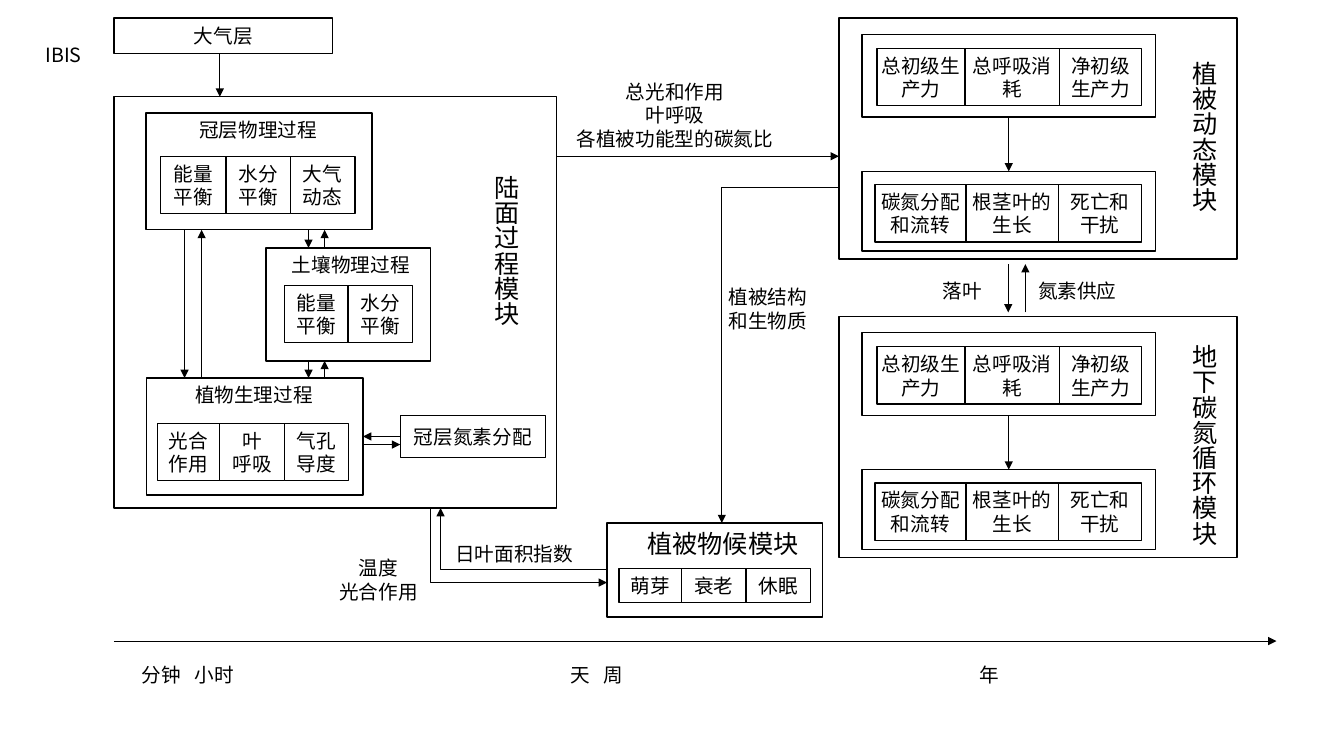
"""Build the IBIS model structure slide: modules, processes and exchanges along a time axis."""
from lxml import etree
from pptx import Presentation
from pptx.dml.color import RGBColor
from pptx.enum import shapes, text
from pptx.oxml.ns import qn
from pptx.util import Pt

PX = 9144
FONT = "Noto Sans CJK SC"
COLORS = {"ink": "000000", "paper": "FFFFFF"}
BODY, HEADING = 14, 18

TITLE = ("IBIS", (35, 32, 79, 47))
FRAMES = {
    "atmosphere": (113, 18, 217, 35, "大气层"),
    "land": (113, 96, 439, 408, ""),
    "canopy": (145, 112, 224, 116, ""),
    "physiology": (145, 375, 215, 116, ""),
    "soil": (264, 246, 163, 112, ""),
    "nitrogen": (397, 412, 144, 42, "冠层氮素分配"),
    "phenology": (602, 519, 214, 93, ""),
}
STRIPS = [
    (159, 155, 57, [(65, "能量平衡"), (64, "水分平衡"), (64, "大气动态")]),
    (156, 420, 57, [(62, "光合作用"), (64, "叶\n呼吸"), (64, "气孔导度")]),
    (282, 283, 57, [(63, "能量平衡"), (64, "水分平衡")]),
    (614, 564, 34, [(62, "萌芽"), (64, "衰老"), (64, "休眠")]),
]
CARBON_TOPS = [18, 314]
CARBON_FRAME = (832, 395, 239)
CARBON_STAGES = [
    (16, 82, 870, 30, [(87, "总初级生产力"), (94, "总呼吸消耗"), (81, "净初级生产力")]),
    (152, 79, 868, 165, [(90, "碳氮分配和流转"), (92, "根茎叶的生长"), (82, "死亡和干扰")]),
]
LABELS = [
    (187, 112, 138, 34, BODY, "冠层物理过程"),
    (183, 375, 138, 34, BODY, "植物生理过程"),
    (279, 246, 138, 34, BODY, "土壤物理过程"),
    (631, 519, 172, 40, HEADING, "植被物候模块"),
    (326, 547, 99, 57, BODY, "温度\n光合作用"),
    (441, 533, 138, 34, BODY, "日叶面积指数"),
    (712, 278, 99, 57, BODY, "植被结构\n和生物质"),
    (561, 74, 217, 81, BODY, "总光和作用\n叶呼吸\n各植被功能型的碳氮比"),
    (925, 272, 59, 34, BODY, "落叶"),
    (1019, 272, 99, 34, BODY, "氮素供应"),
]
MODULE_NAMES = [
    (472, 164, 50, 162, "陆面过程模块"),
    (1164, 51, 50, 162, "植被动态模块"),
    (1164, 332, 50, 212, "地下碳氮循环模块"),
]
ARROWS = [
    (218, 53, 218, 96),
    (183, 228, 183, 375), (200, 375, 200, 228),
    (306, 228, 306, 246), (322, 246, 322, 228),
    (306, 358, 306, 375), (322, 375, 322, 358),
    (360, 441, 397, 441),
    (552, 155, 832, 155),
    (1000, 262, 1000, 310), (1017, 310, 1017, 262),
    (113, 636, 1266, 636),
]
ELBOWS = [
    (427, 504, 602, 578, 0),
    (602, 565, 437, 504, 100000),
    (832, 186, 716, 519, 100000),
]
TIME_AXIS = (131, 653, 1098, 34)
TIME_SCALES = [(0, "分钟"), (52, "小时"), (425, "天"), (458, "周"), (831, "年")]


def rgb(name):
    return RGBColor.from_string(COLORS[name])


def emu(*lengths):
    return [length * PX for length in lengths]


def style(frame, size, align):
    for paragraph in frame.paragraphs:
        paragraph.alignment = align
        font = paragraph.font
        font.name, font.size, font.bold = FONT, Pt(size), False
        font.color.rgb = rgb("ink")
        defaults = paragraph._p.pPr.find(qn("a:defRPr"))
        etree.SubElement(defaults, qn("a:ea"), typeface=FONT)


def add_box(slide, left, top, width, height, words=""):
    box = slide.shapes.add_shape(shapes.MSO_SHAPE.RECTANGLE, *emu(left, top, width, height))
    box.shadow.inherit = False
    box.fill.solid()
    box.fill.fore_color.rgb = rgb("paper")
    box.line.color.rgb = rgb("ink")
    box.line.width = Pt(1)
    if words:
        frame = box.text_frame
        frame.text = words
        frame.vertical_anchor = text.MSO_ANCHOR.MIDDLE
        frame.margin_left = frame.margin_top = frame.margin_right = frame.margin_bottom = 4 * PX
        style(frame, BODY, text.PP_ALIGN.CENTER)
    return box


def add_strip(slide, left, top, height, cells):
    for width, words in cells:
        add_box(slide, left, top, width, height, words)
        left += width


def add_label(slide, left, top, width, height, size, words, align=text.PP_ALIGN.CENTER):
    label = slide.shapes.add_textbox(*emu(left, top, width, height))
    frame = label.text_frame
    frame.text = words
    frame.word_wrap = False
    frame.auto_size = text.MSO_AUTO_SIZE.SHAPE_TO_FIT_TEXT
    style(frame, size, align)
    return frame


def add_arrow(slide, x1, y1, x2, y2, bend=None):
    kind = shapes.MSO_CONNECTOR.STRAIGHT if bend is None else shapes.MSO_CONNECTOR.ELBOW
    arrow = slide.shapes.add_connector(kind, *emu(x1, y1, x2, y2))
    arrow.line.color.rgb = rgb("ink")
    arrow.line.width = Pt(0.5)
    properties = arrow._element.spPr
    etree.SubElement(properties.find(qn("a:ln")), qn("a:tailEnd"), type="triangle")
    etree.SubElement(properties, qn("a:effectLst"))
    if bend is not None:
        guides = properties.find(qn("a:prstGeom")).find(qn("a:avLst"))
        etree.SubElement(guides, qn("a:gd"), name="adj1", fmla=f"val {bend}")
    return arrow


def join(slide, start, start_side, end, end_side):
    arrow = add_arrow(slide, 0, 0, 0, 0)
    arrow.begin_connect(start, start_side)
    arrow.end_connect(end, end_side)


def add_carbon_module(slide, top):
    left, width, height = CARBON_FRAME
    add_box(slide, left, top, width, height)
    stages = []
    for offset, stage_height, cells_left, cells_offset, cells in CARBON_STAGES:
        stages.append(add_box(slide, left + 23, top + offset, 291, stage_height))
        add_strip(slide, cells_left, top + cells_offset, 57, cells)
    join(slide, stages[0], 2, stages[1], 0)


def add_time_scales(slide):
    words = "\t".join(name for _, name in TIME_SCALES)
    frame = add_label(slide, *TIME_AXIS, BODY, words, text.PP_ALIGN.LEFT)
    frame.word_wrap = True
    properties = frame.paragraphs[0]._p.pPr
    stops = etree.Element(qn("a:tabLst"))
    for position, _ in TIME_SCALES[1:]:
        etree.SubElement(stops, qn("a:tab"), pos=str(position * PX), algn="l")
    properties.insert(0, stops)


def main():
    deck = Presentation()
    deck.slide_width, deck.slide_height = emu(1333, 750)
    slide = deck.slides.add_slide(deck.slide_layouts[5])

    title = slide.shapes.title
    words, place = TITLE
    title.left, title.top, title.width, title.height = emu(*place)
    title.text_frame.text = words
    title.text_frame.vertical_anchor = text.MSO_ANCHOR.MIDDLE
    title.text_frame.paragraphs[0].line_spacing = 0.9
    style(title.text_frame, BODY, text.PP_ALIGN.LEFT)

    frames = {name: add_box(slide, *frame) for name, frame in FRAMES.items()}
    for strip in STRIPS:
        add_strip(slide, *strip)
    for top in CARBON_TOPS:
        add_carbon_module(slide, top)
    join(slide, frames["nitrogen"], 1, frames["physiology"], 3)
    for route in ARROWS + ELBOWS:
        add_arrow(slide, *route)
    for label in LABELS:
        add_label(slide, *label)
    for *place, words in MODULE_NAMES:
        frame = add_label(slide, *place, HEADING, words, text.PP_ALIGN.LEFT)
        frame._txBody.bodyPr.set("vert", "eaVert")
    add_time_scales(slide)
    deck.save("out.pptx")


if __name__ == "__main__":
    main()
